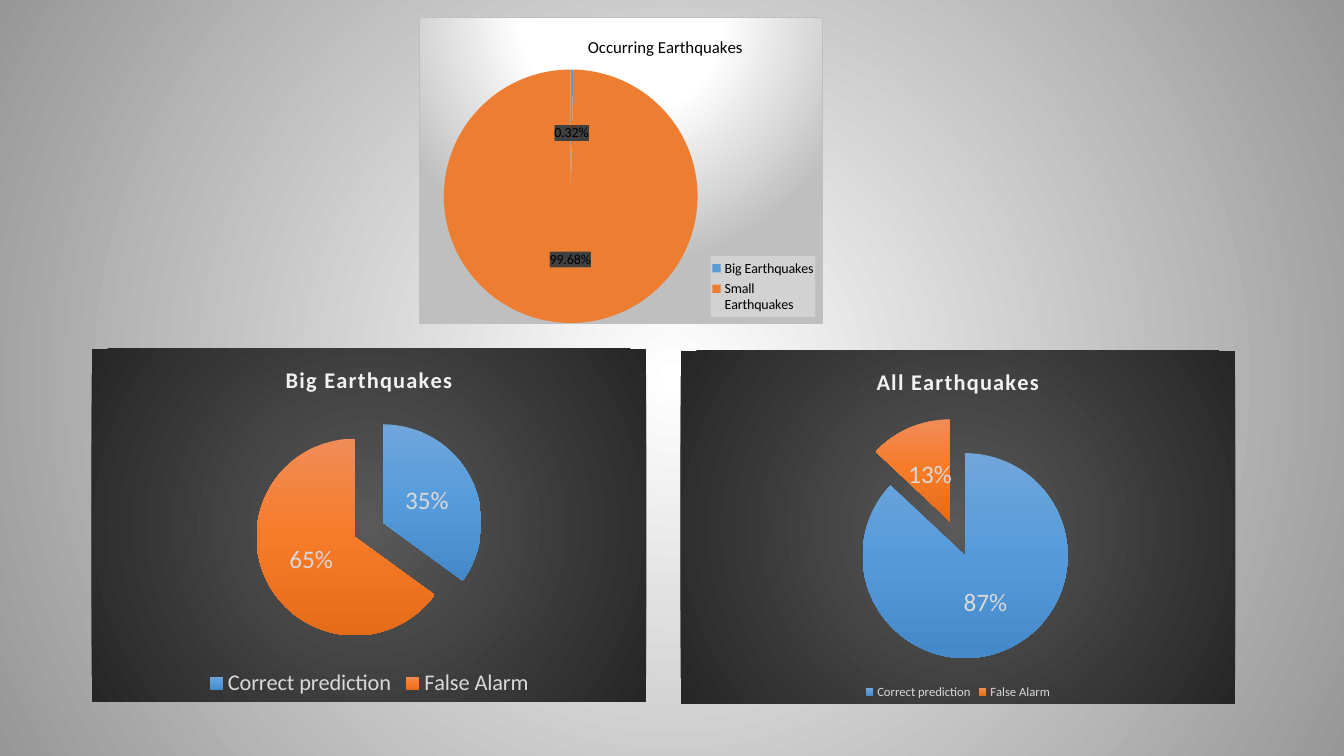
from lxml import etree
from pptx import Presentation
from pptx.chart.data import CategoryChartData
from pptx.dml.color import RGBColor
from pptx.enum.chart import XL_CHART_TYPE, XL_LABEL_POSITION, XL_LEGEND_POSITION
from pptx.oxml import parse_xml
from pptx.oxml.ns import qn
from pptx.util import Inches, Pt

PIE = XL_CHART_TYPE.PIE
CENTER = XL_LABEL_POSITION.CENTER
BOTTOM, RIGHT = XL_LEGEND_POSITION.BOTTOM, XL_LEGEND_POSITION.RIGHT
BLACK = RGBColor(0x00, 0x00, 0x00)
PALE = RGBColor(0xF2, 0xF2, 0xF2)
GREY = RGBColor(0xD9, 0xD9, 0xD9)
FONT = "Calibri"
NS = ('xmlns:a="http://schemas.openxmlformats.org/drawingml/2006/main" '
      'xmlns:c="http://schemas.openxmlformats.org/drawingml/2006/chart"')


def solid(color, alpha=100):
    return (f'<a:solidFill {NS}><a:srgbClr val="{color}">'
            f'<a:alpha val="{alpha * 1000}"/></a:srgbClr></a:solidFill>')


def blend(stops, to=None):
    marks = "".join(f'<a:gs pos="{pos * 1000}"><a:srgbClr val="{color}"/></a:gs>'
                    for pos, color in stops)
    if to:
        rect = " ".join(f'{side}="{n * 1000}"' for side, n in zip("ltrb", to))
        way = f'<a:path path="circle"><a:fillToRect {rect}/></a:path>'
    else:
        way = '<a:lin ang="5400000" scaled="0"/>'
    return f'<a:gradFill {NS} rotWithShape="1"><a:gsLst>{marks}</a:gsLst>{way}</a:gradFill>'


MID = (50, 50, 50, 50)
BACK = blend([(0, "FFFFFF"), (100, "979797")], MID)
DARK = blend([(0, "595959"), (100, "262626")], MID)
LIGHT = blend([(0, "FFFFFF"), (39, "FFFFFF"), (100, "BFBFBF")], (50, -80, 50, 180))
FLAT = [solid("5B9BD5"), solid("ED7D31")]
GLOSS = [blend([(0, "71A6DB"), (50, "559BDB"), (100, "448ACA")]),
         blend([(0, "F18C57"), (50, "F67B28"), (100, "E56C19")])]
HATCH = (f'<a:pattFill {NS} prst="dkVert"><a:fgClr><a:srgbClr val="404040"/></a:fgClr>'
         '<a:bgClr><a:srgbClr val="595959"/></a:bgClr></a:pattFill>')
NO_LINE = f'<a:ln {NS}><a:noFill/></a:ln>'
EDGE = f'<a:ln {NS} w="9525">{solid("BFBFBF")}</a:ln>'

RESULT = ["Correct prediction", "False Alarm"]
SIZES = ["Big Earthquakes", "Small Earthquakes"]
NIGHT = dict(fill=DARK, line=NO_LINE, slices=GLOSS, title=(16, True, PALE, 100),
             text=GREY, label=18, fmt="0%", side=BOTTOM)
DAY = dict(fill=LIGHT, line=EDGE, slices=FLAT, title=(12, False, BLACK, 0),
           text=BLACK, label=10, fmt="0.00%", side=RIGHT)
CHARTS = [
    ("All Earthquakes", (6.75, 3.48, 5.5, 3.5), RESULT, (87, 13), 18, 9, NIGHT),
    ("Occurring Earthquakes", (4.16, 0.17, 4, 3.04), SIZES, (0.32, 99.68), 0, 10, DAY),
    ("Big Earthquakes", (0.91, 3.46, 5.5, 3.5), RESULT, (35, 65), 16, 16, NIGHT),
]


def swap(holder, fill):
    old = holder.find(qn("a:solidFill"))
    holder.replace(old, parse_xml(fill))


def paint(parent, fill, line=NO_LINE):
    parent.find(qn("c:txPr")).addprevious(
        parse_xml(f"<c:spPr {NS}>{fill}{line}</c:spPr>"))


def place(parent, index, spot, inner=False):
    for old in parent.findall(qn("c:layout")):
        parent.remove(old)
    layout = etree.Element(qn("c:layout"))
    manual = etree.SubElement(layout, qn("c:manualLayout"))
    rules = [("layoutTarget", "inner")] if inner else []
    rules += [("xMode", "edge"), ("yMode", "edge")] + list(zip("xywh", spot))
    for tag, val in rules:
        etree.SubElement(manual, qn("c:" + tag)).set("val", str(val))
    parent.insert(index, layout)


def style(font, size, color):
    font.name, font.size, font.color.rgb = FONT, Pt(size), color


def add_pie(slide, name, box, cats, vals, burst, key, look):
    data = CategoryChartData()
    data.categories = cats
    data.add_series("Series 1", vals)
    chart = slide.shapes.add_chart(PIE, *map(Inches, box), data).chart
    style(chart.font, 10, BLACK)
    paint(chart._chartSpace, look["fill"], look["line"])

    size, bold, color, gap = look["title"]
    chart.has_title = True
    run = chart.chart_title.text_frame.paragraphs[0].add_run()
    run.text = name
    style(run.font, size, color)
    run.font.bold = bold
    run.font._element.set("spc", str(gap))

    chart.has_legend = True
    legend = chart.legend
    legend.position = look["side"]
    legend.include_in_layout = False
    style(legend.font, key, look["text"])

    plot = chart.plots[0]
    plot.vary_by_categories = True
    series = plot.series[0]
    for i, fill in enumerate(look["slices"]):
        form = series.points[i].format
        form.fill.solid()
        form.fill.fore_color.rgb = BLACK
        form.line.fill.background()
        swap(series._element.findall(qn("c:dPt"))[i].find(qn("c:spPr")), fill)
    if burst:
        series._element.find(qn("c:dPt")).addprevious(
            parse_xml(f'<c:explosion {NS} val="{burst}"/>'))

    labels = series.data_labels
    labels.show_value = False
    labels.show_percentage = True
    labels.position = CENTER
    labels.number_format = look["fmt"]
    labels.number_format_is_linked = False
    style(labels.font, look["label"], look["text"])

    if look is DAY:
        place(chart.chart_title._element, 1, (0.41, 0.05))
        place(legend._element, 1, (0.73, 0.78, 0.26, 0.2))
        place(chart._chartSpace.find(".//" + qn("c:plotArea")), 0,
              (0, 0.17, 0.75, 0.83), True)
        paint(legend._element, solid("F2F2F2", 39))
        paint(labels._element, HATCH)


def main():
    deck = Presentation()
    deck.slide_width, deck.slide_height = Inches(13.33), Inches(7.5)
    slide = deck.slides.add_slide(deck.slide_layouts[6])
    slide.background.fill.solid()
    slide.background.fill.fore_color.rgb = PALE
    swap(slide._element.find(".//" + qn("p:bgPr")), BACK)
    for row in CHARTS:
        add_pie(slide, *row)
    deck.save("out.pptx")


if __name__ == "__main__":
    main()
